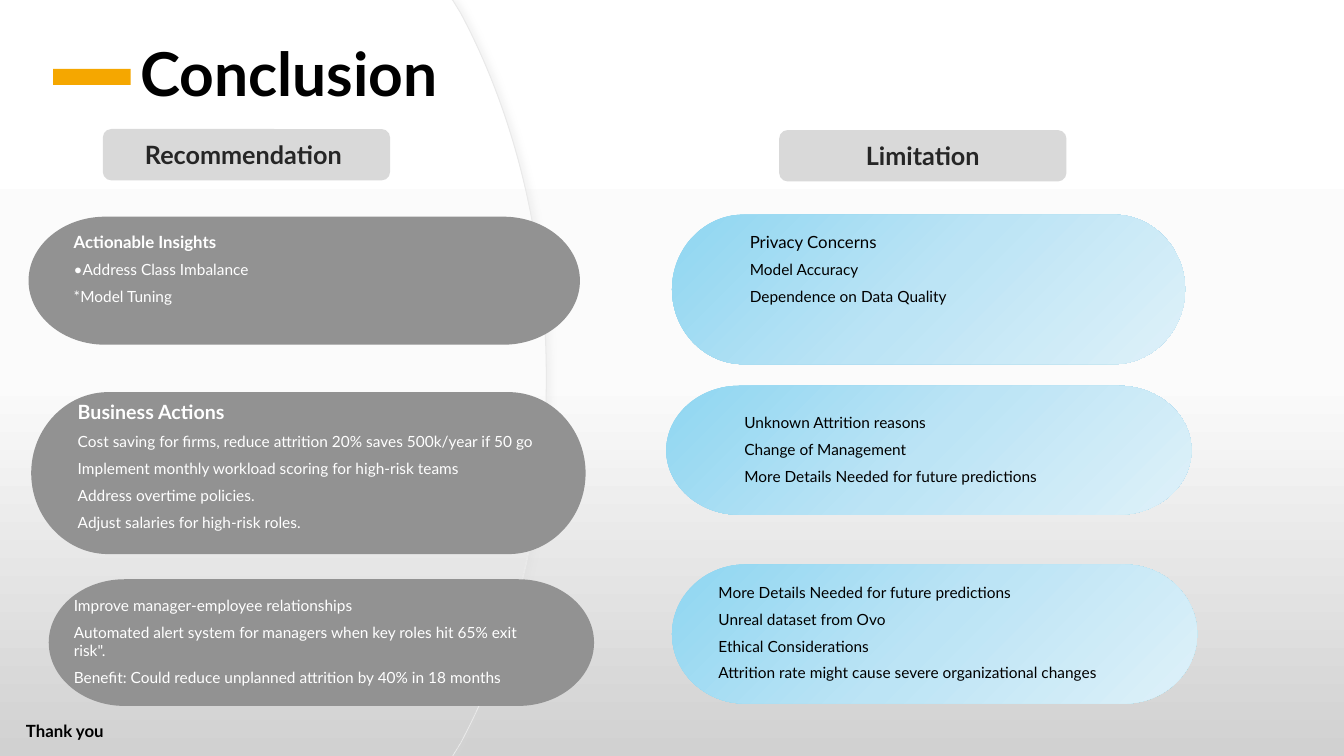
import lxml.etree
import pptx
import pptx.dml.color
import pptx.enum.shapes
import pptx.enum.text
import pptx.oxml
import pptx.oxml.ns
import pptx.util

CELL = pptx.util.Inches(1) / 3
COLUMNS, ROWS = 40, 22.5
BACKDROP = (("FFFFFF", 0), ("FBFBFB", 50), ("D1D1D1", 100))
SKY = (("8FD6F1", 0), ("BCE4F5", 50), ("DEF1F9", 100))
GRAY, ORANGE, LABEL_FILL = "929292", "F5A700", "D9D9D9"
BLACK, WHITE, CHARCOAL = "000000", "FFFFFF", "262626"


def cells(*lengths):
    """Turn grid columns or rows into EMU."""
    return [pptx.util.Emu(round(length * CELL)) for length in lengths]


def color(hex_text):
    return pptx.dml.color.RGBColor.from_string(hex_text)


def paint(fill, paint_value, angle=45):
    """Fill with one hex colour, or with (hex, percent) stops at a clockwise angle."""
    if isinstance(paint_value, str):
        fill.solid()
        fill.fore_color.rgb = color(paint_value)
        return
    fill.gradient()
    fill.gradient_angle = 360 - angle
    stops = fill._fill._gradFill.find(pptx.oxml.ns.qn("a:gsLst"))
    for stop in list(stops):
        stops.remove(stop)
    for hex_text, percent in paint_value:
        stop = lxml.etree.SubElement(stops, pptx.oxml.ns.qn("a:gs"), pos=str(percent * 1000))
        lxml.etree.SubElement(stop, pptx.oxml.ns.qn("a:srgbClr"), val=hex_text)


def bend(shape, segments):
    """Merge the straight steps of each three-point segment into one cubic curve."""
    steps = list(shape.element.iter(pptx.oxml.ns.qn("a:lnTo")))
    for segment in segments:
        group, steps = steps[:len(segment)], steps[len(segment):]
        if len(segment) == 3:
            curve = lxml.etree.Element(pptx.oxml.ns.qn("a:cubicBezTo"))
            group[0].addprevious(curve)
            for step in group:
                curve.append(step[0])
                step.getparent().remove(step)


class ConclusionSlide:
    font_name = "Lato"
    body_size = 11
    end_share = 0.139  # width of a pill's rounded end, as a share of the pill
    curve_pull = 0.55

    def __init__(self, deck):
        self.slide = deck.slides.add_slide(deck.slide_layouts[5])
        self.shapes = self.slide.shapes
        self.block(pptx.enum.shapes.MSO_SHAPE.RECTANGLE, (0, 0, COLUMNS, ROWS), BACKDROP, 90)

    def format_paragraph(self, paragraph, size, hex_text, bold=False):
        for run in paragraph.runs:
            run.font.name = self.font_name
            run.font.size = pptx.util.Pt(size)
            run.font.bold = bold
            run.font.color.rgb = color(hex_text)

    def title(self, wording, box):
        heading = self.shapes.title
        heading.left, heading.top, heading.width, heading.height = cells(*box)
        frame = heading.text_frame
        frame.text = wording
        frame.auto_size = pptx.enum.text.MSO_AUTO_SIZE.NONE
        frame.vertical_anchor = pptx.enum.text.MSO_ANCHOR.BOTTOM
        paragraph = frame.paragraphs[0]
        paragraph.alignment = pptx.enum.text.PP_ALIGN.LEFT
        paragraph.line_spacing = 0.9
        self.format_paragraph(paragraph, 43.2, BLACK, bold=True)
        heading.element.getparent().append(heading.element)  # in front of the panel

    def block(self, kind, box, fill, angle=45):
        block = self.shapes.add_shape(kind, *cells(*box))
        block.shadow.inherit = False
        paint(block.fill, fill, angle)
        block.line.fill.background()
        return block

    def bar(self, box):
        self.block(pptx.enum.shapes.MSO_SHAPE.RECTANGLE, box, ORANGE)

    def label(self, wording, box):
        label = self.block(pptx.enum.shapes.MSO_SHAPE.ROUNDED_RECTANGLE, box, LABEL_FILL)
        frame = label.text_frame
        frame.text = wording
        frame.vertical_anchor = pptx.enum.text.MSO_ANCHOR.MIDDLE
        frame.paragraphs[0].alignment = pptx.enum.text.PP_ALIGN.CENTER
        self.format_paragraph(frame.paragraphs[0], 18, CHARCOAL, bold=True)

    def outline(self, start, segments, fill, angle=45):
        """Closed shape; a segment is one point (line) or three (cubic curve)."""
        builder = self.shapes.build_freeform(*cells(*start), scale=1.0)
        builder.add_line_segments([cells(*point) for segment in segments for point in segment])
        shape = builder.convert_to_shape()
        bend(shape, segments)
        shape.shadow.inherit = False
        paint(shape.fill, fill, angle)
        shape.line.fill.background()
        return shape

    def sheet(self, shift=0):
        """Left sheet with a bulging right edge, moved left by shift."""
        top_x, bend_x, pull_x, far_x, right = (
            x - shift for x in (13.47, 13.71, 15.33, 16.26, 16.26))
        return self.outline((0, 0), [
            [(top_x, 0)],
            [(bend_x, 0.39)],
            [(pull_x, 3.42), (far_x, 7.17), (right, ROWS / 2)],
            [(far_x, ROWS - 7.17), (pull_x, ROWS - 3.42), (bend_x, ROWS - 0.39)],
            [(top_x, ROWS)],
            [(0, ROWS)],
            [(0, 0)],
        ], BACKDROP, 90)

    def panel(self):
        """Sheet with a thin edge and soft shadow, under a plain one."""
        edged = self.sheet()
        edged.line.color.rgb = color("E9E9E9")
        edged.line.width = pptx.util.Pt(0.75)
        effects = edged.element.spPr.find(pptx.oxml.ns.qn("a:effectLst"))
        effects.append(pptx.oxml.parse_xml(
            f'<a:outerShdw {pptx.oxml.ns.nsdecls("a")} blurRad="50800" dist="38100" dir="0">'
            '<a:srgbClr val="D9D9D9"><a:alpha val="30000"/></a:srgbClr></a:outerShdw>'))
        self.sheet(shift=0.03)

    def pill(self, box, fill):
        left, top, width, height = box
        end, half = width * self.end_share, height / 2
        middle, right, bottom = top + half, left + width, top + height
        pull_x, pull_y = end * (1 - self.curve_pull), half * self.curve_pull
        self.outline((left + end, bottom), [
            [(right - end, bottom)],
            [(right - pull_x, bottom), (right, middle + pull_y), (right, middle)],
            [(right, middle - pull_y), (right - pull_x, top), (right - end, top)],
            [(left + end, top)],
            [(left + pull_x, top), (left, middle - pull_y), (left, middle)],
            [(left, middle + pull_y), (left + pull_x, bottom), (left + end, bottom)],
        ], fill)

    def text(self, lines, box, hex_text, first_size=body_size, first_bold=False):
        frame = self.shapes.add_textbox(*cells(*box)).text_frame
        frame.text = "\n".join(lines)
        frame.word_wrap = True
        frame.auto_size = pptx.enum.text.MSO_AUTO_SIZE.SHAPE_TO_FIT_TEXT
        for index, paragraph in enumerate(frame.paragraphs):
            paragraph.space_after = pptx.util.Pt(6 if len(lines) > 1 else 0)
            size, bold = (self.body_size, False) if index else (first_size, first_bold)
            self.format_paragraph(paragraph, size, hex_text, bold)


# Pill box, text box, size and weight of the first line, lines
RECOMMENDATIONS = (
    ((0.85, 6.45, 16.41, 3.81), (1.9, 6.75, 14.79, 2.52), 12, True,
     ("Actionable Insights ", "•Address Class Imbalance", "*Model Tuning")),
    ((0.93, 11.67, 16.5, 4.82), (2.02, 11.76, 14.28, 5.04), 14, True,
     ("Business Actions",
      "Cost saving for firms, reduce attrition 20% saves 500k/year if 50 go",
      "Implement monthly workload scoring for high-risk teams",
      "Address overtime policies.",
      "Adjust salaries for high-risk roles.")),
    ((1.45, 17.24, 16.23, 3.77), (1.9, 17.59, 14.25, 3.03), 11, False,
     ("Improve manager-employee relationships",
      "Automated alert system for managers when key roles hit 65% exit risk\".",
      "Benefit: Could reduce unplanned attrition by 40% in 18 months")),
)
LIMITATIONS = (
    ((20, 6.39, 15.27, 4.45), (22.02, 6.75, 11.73, 3.33), 12, False,
     ("Privacy Concerns", "Model Accuracy", "Dependence on Data Quality")),
    ((19.83, 11.48, 15.63, 3.84), (21.86, 12.14, 12.09, 2.52), 11, False,
     ("Unknown Attrition reasons", "Change of Management",
      "More Details Needed for future predictions")),
    ((20, 16.8, 15.63, 4.14), (21.09, 17.2, 13.11, 4.08), 11, False,
     ("More Details Needed for future predictions", "Unreal dataset from Ovo",
      "Ethical Considerations",
      "Attrition rate might cause severe organizational changes")),
)


def main():
    deck = pptx.Presentation()
    deck.slide_width, deck.slide_height = cells(COLUMNS, ROWS)
    conclusion = ConclusionSlide(deck)
    conclusion.panel()
    conclusion.title("Conclusion", (3.88, 1.18, 24.66, 2.22))
    conclusion.bar((1.58, 2.05, 2.31, 0.48))
    conclusion.label("Recommendation ", (3.06, 3.84, 8.55, 1.53))
    conclusion.label("Limitation", (23.19, 3.87, 8.55, 1.53))
    for group, fill, ink in ((RECOMMENDATIONS, GRAY, WHITE), (LIMITATIONS, SKY, BLACK)):
        for pill_box, text_box, first_size, first_bold, lines in group:
            conclusion.pill(pill_box, fill)
            conclusion.text(lines, text_box, ink, first_size, first_bold)
    conclusion.text(["Thank you"], (0.48, 21.3, 4.38, 0.9), BLACK, 12, True)
    deck.save("out.pptx")


if __name__ == "__main__":
    main()
